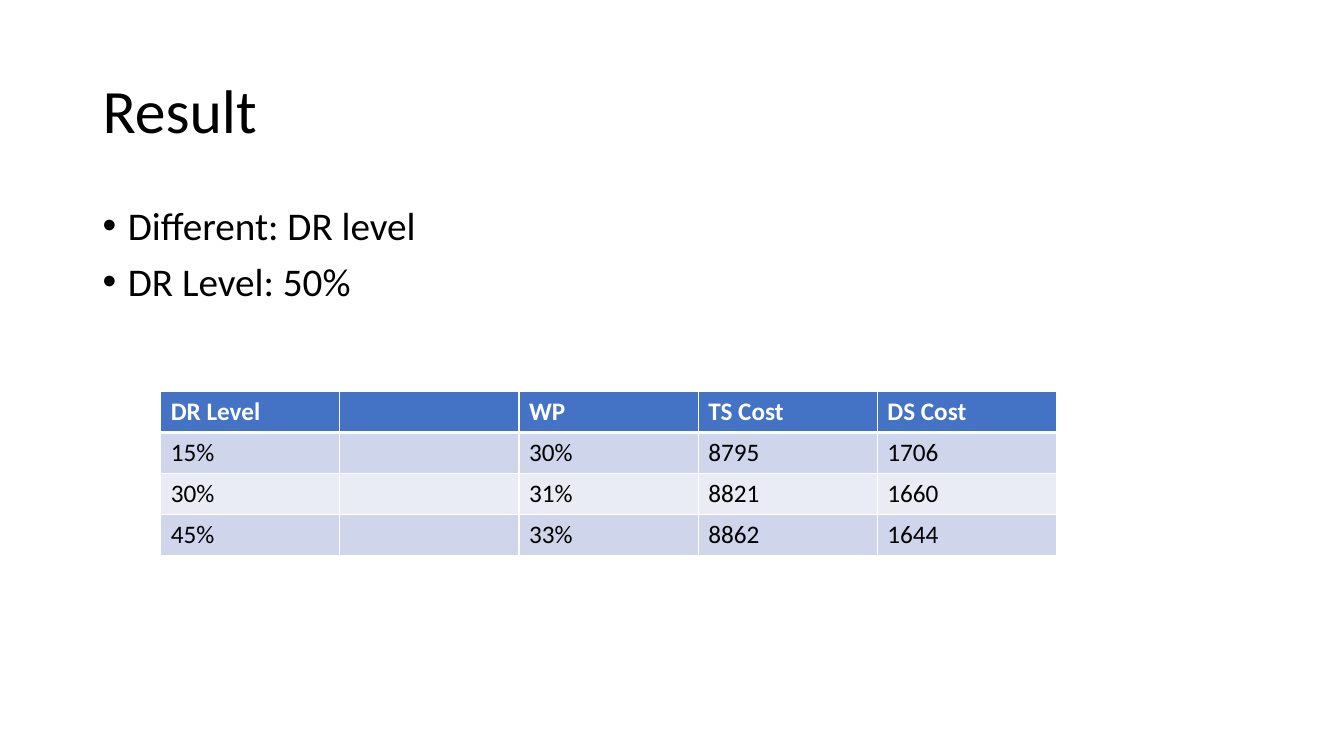
"""Build the Result slide with its bullet list and cost table."""
from dataclasses import dataclass

from lxml.etree import SubElement
from pptx import Presentation
from pptx.dml.color import RGBColor
from pptx.enum.text import MSO_ANCHOR, MSO_AUTO_SIZE, PP_ALIGN
from pptx.oxml import parse_xml
from pptx.oxml.ns import nsdecls, qn
from pptx.util import Cm, Pt


@dataclass(frozen=True)
class Theme:
    """Colours and type sizes of the slide."""
    font: str = "Calibri"
    text: str = "000000"
    light: str = "FFFFFF"
    header: str = "4472C4"
    bands: tuple = ("CFD5EA", "E9EBF5")
    title_size: int = 44
    body_size: int = 28
    table_size: int = 18


class SlideBuilder:
    """Hold the theme and the current slide."""

    def __init__(self, slide, theme):
        self.s = slide
        self.theme = theme

    def format_paragraph(self, p, size, color, bold=False):
        """Style a paragraph and its runs."""
        p.alignment = PP_ALIGN.LEFT
        for r in p.runs:
            r.font.name = self.theme.font
            r.font.size = Pt(size)
            r.font.bold = bold
            r.font.color.rgb = RGBColor.from_string(color)

    def place(self, sp, left, top, width, height, anchor):
        """Move a placeholder and return its text frame."""
        sp.left, sp.top, sp.width, sp.height = map(Cm, (left, top, width, height))
        tf = sp.text_frame
        tf.word_wrap = True
        tf.auto_size = MSO_AUTO_SIZE.NONE
        tf.vertical_anchor = anchor
        return tf

    def title(self, text, *box):
        """Fill the title placeholder."""
        tf = self.place(self.s.shapes.title, *box, MSO_ANCHOR.MIDDLE)
        tf.text = text
        p = tf.paragraphs[0]
        p.line_spacing = 0.9
        self.format_paragraph(p, self.theme.title_size, self.theme.text)

    def bullets(self, items, *box):
        """Fill the body placeholder with a bullet list."""
        tf = self.place(self.s.placeholders[1], *box, MSO_ANCHOR.TOP)
        tf.text = "\n".join(items)
        for p in tf.paragraphs:
            p.line_spacing = 0.9
            p.space_before = Pt(10)
            self.format_paragraph(p, self.theme.body_size, self.theme.text)
            pPr = p._p.get_or_add_pPr()
            pPr.set("marL", str(Cm(0.64)))
            pPr.set("indent", str(-Cm(0.64)))
            SubElement(pPr, qn("a:buFont"), typeface="Arial")
            SubElement(pPr, qn("a:buChar"), char="•")

    def borders(self, cell, top, bottom):
        """Draw the four borders of a cell, widths in points."""
        tcPr = cell._tc.get_or_add_tcPr()
        sides = (("lnL", 1), ("lnR", 1), ("lnT", top), ("lnB", bottom))
        for i, (side, width) in enumerate(sides):
            tcPr.insert(i, parse_xml(
                f'<a:{side} {nsdecls("a")} w="{Pt(width)}"><a:solidFill>'
                f'<a:srgbClr val="{self.theme.light}"/></a:solidFill></a:{side}>'))

    def table(self, rows, left, top, width, row_height):
        """Add a table with a header row and banded body rows."""
        theme = self.theme
        box = map(Cm, (left, top, width, row_height * len(rows)))
        table = self.s.shapes.add_table(len(rows), len(rows[0]), *box).table
        for i, values in enumerate(rows):
            is_header = i == 0
            fill = theme.header if is_header else theme.bands[(i - 1) % 2]
            color = theme.light if is_header else theme.text
            for j, value in enumerate(values):
                cell = table.cell(i, j)
                cell.text = value
                cell.fill.solid()
                cell.fill.fore_color.rgb = RGBColor.from_string(fill)
                self.borders(cell, 3 if i == 1 else 1, 3 if is_header else 1)
                self.format_paragraph(cell.text_frame.paragraphs[0],
                                      theme.table_size, color, is_header)


def main():
    """Build and save the presentation."""
    prs = Presentation()
    prs.slide_width, prs.slide_height = Cm(33.87), Cm(19.05)
    builder = SlideBuilder(prs.slides.add_slide(prs.slide_layouts[1]), Theme())
    builder.title("Result", 2.33, 1.01, 29.21, 3.68)
    builder.bullets(["Different: DR level", "DR Level: 50%"],
                    2.33, 5.07, 29.21, 12.09)
    builder.table([
        ["DR Level", "", "WP", "TS Cost", "DS Cost"],
        ["15%", "", "30%", "8795", "1706"],
        ["30%", "", "31%", "8821", "1660"],
        ["45%", "", "33%", "8862", "1644"],
    ], 4.05, 9.87, 22.58, 1.03)
    prs.save("out.pptx")


if __name__ == "__main__":
    main()
